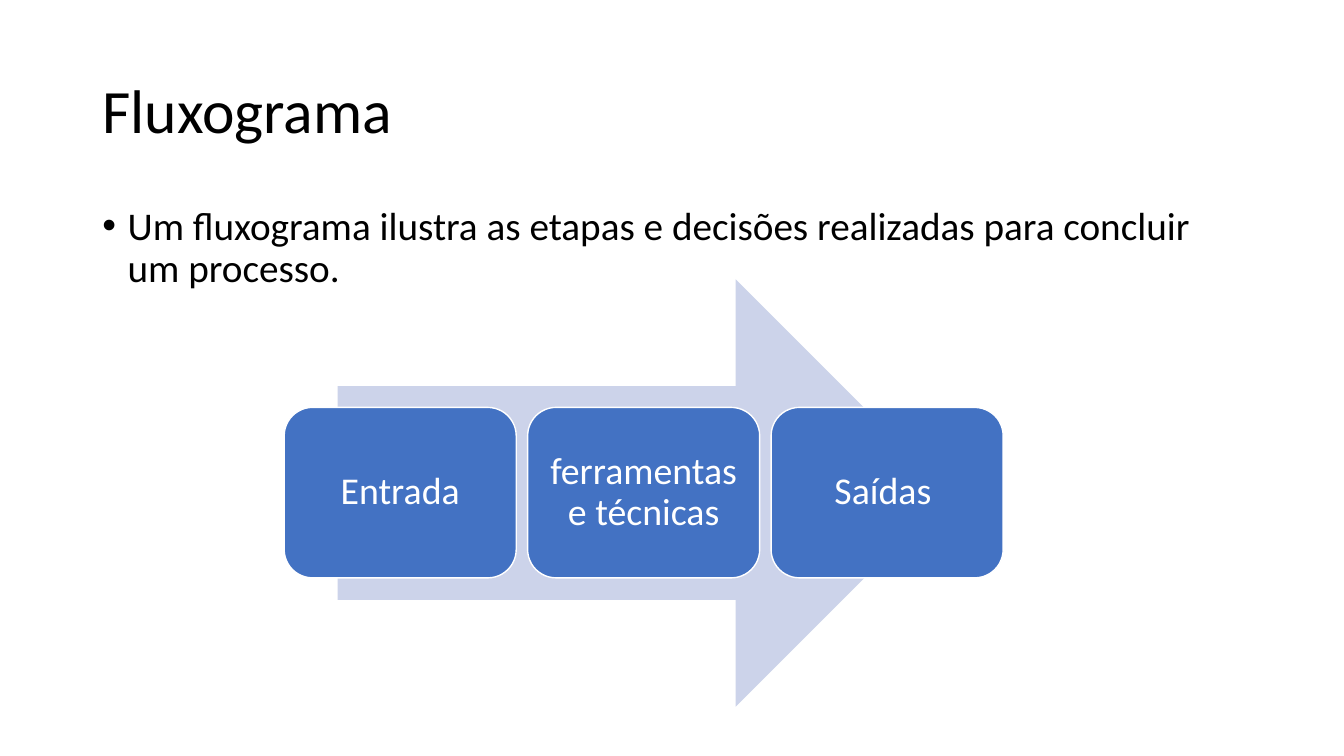
from lxml import etree
from pptx import Presentation
from pptx.dml.color import RGBColor
from pptx.enum.shapes import MSO_SHAPE
from pptx.enum.text import MSO_ANCHOR, MSO_AUTO_SIZE, PP_ALIGN
from pptx.oxml.ns import qn
from pptx.util import Pt

ARROW = MSO_SHAPE.RIGHT_ARROW
ROUNDED = MSO_SHAPE.ROUNDED_RECTANGLE
TOP, MIDDLE = MSO_ANCHOR.TOP, MSO_ANCHOR.MIDDLE
LEFT, CENTER = PP_ALIGN.LEFT, PP_ALIGN.CENTER
NO_AUTOFIT = MSO_AUTO_SIZE.NONE

FONT = "Calibri"
COLORS = {"text": "000000", "arrow": "CCD3EA", "step": "4372C3", "white": "FFFFFF"}
STEPS = ["Entrada", "ferramentas e técnicas", "Saídas "]
STEP_LEFT, STEP_TOP, STEP_WIDTH, STEP_HEIGHT = 203, 291, 165.75, 121.75
STEP_PITCH = 173.9


def color(key):
    return RGBColor.from_string(COLORS[key])


def write(holder, text, size, ink, align, anchor, inset_x, inset_y):
    frame = holder.text_frame
    frame.word_wrap = True
    frame.auto_size = NO_AUTOFIT
    frame.vertical_anchor = anchor
    frame.margin_left = frame.margin_right = Pt(inset_x)
    frame.margin_top = frame.margin_bottom = Pt(inset_y)
    paragraph = frame.paragraphs[0]
    paragraph.alignment = align
    paragraph.line_spacing = 0.9
    paragraph.space_before = Pt(0)
    run = paragraph.add_run()
    run.text = text
    run.font.name = FONT
    run.font.size = Pt(size)
    run.font.color.rgb = color(ink)
    return paragraph


def place(holder, left, top, width, height):
    holder.left, holder.top = Pt(left), Pt(top)
    holder.width, holder.height = Pt(width), Pt(height)


def add_bullet(paragraph, indent):
    properties = paragraph._p.get_or_add_pPr()
    properties.set("marL", str(Pt(indent)))
    properties.set("indent", str(-Pt(indent)))
    etree.SubElement(properties, qn("a:buFont"), typeface="Arial")
    etree.SubElement(properties, qn("a:buChar"), char="•")


def add_filled(slide, kind, left, top, width, height, fill):
    filled = slide.shapes.add_shape(kind, Pt(left), Pt(top), Pt(width), Pt(height))
    filled.shadow.inherit = False
    filled.fill.solid()
    filled.fill.fore_color.rgb = color(fill)
    filled.line.fill.background()
    return filled


def add_step(slide, index, label):
    step = add_filled(slide, ROUNDED, STEP_LEFT + index * STEP_PITCH, STEP_TOP,
                      STEP_WIDTH, STEP_HEIGHT, "step")
    step.line.color.rgb = color("white")
    step.line.width = Pt(1)
    write(step, label, 27, "white", CENTER, MIDDLE, 8, 8)


def main():
    deck = Presentation()
    deck.slide_width, deck.slide_height = Pt(960), Pt(540)
    slide = deck.slides.add_slide(deck.slide_layouts[1])

    title, definition = slide.placeholders
    place(title, 66, 28.75, 828, 104.4)
    write(title, "Fluxograma", 44, "text", LEFT, MIDDLE, 7.2, 3.6)

    place(definition, 66, 143.75, 828, 342.6)
    sentence = write(
        definition,
        "Um fluxograma ilustra as etapas e decisões realizadas para concluir um processo.",
        28, "text", LEFT, TOP, 7.2, 3.6)
    add_bullet(sentence, 18)

    add_filled(slide, ARROW, 241.2, 199.5, 437, 305.25, "arrow")
    for index, label in enumerate(STEPS):
        add_step(slide, index, label)

    deck.save("out.pptx")


if __name__ == "__main__":
    main()
